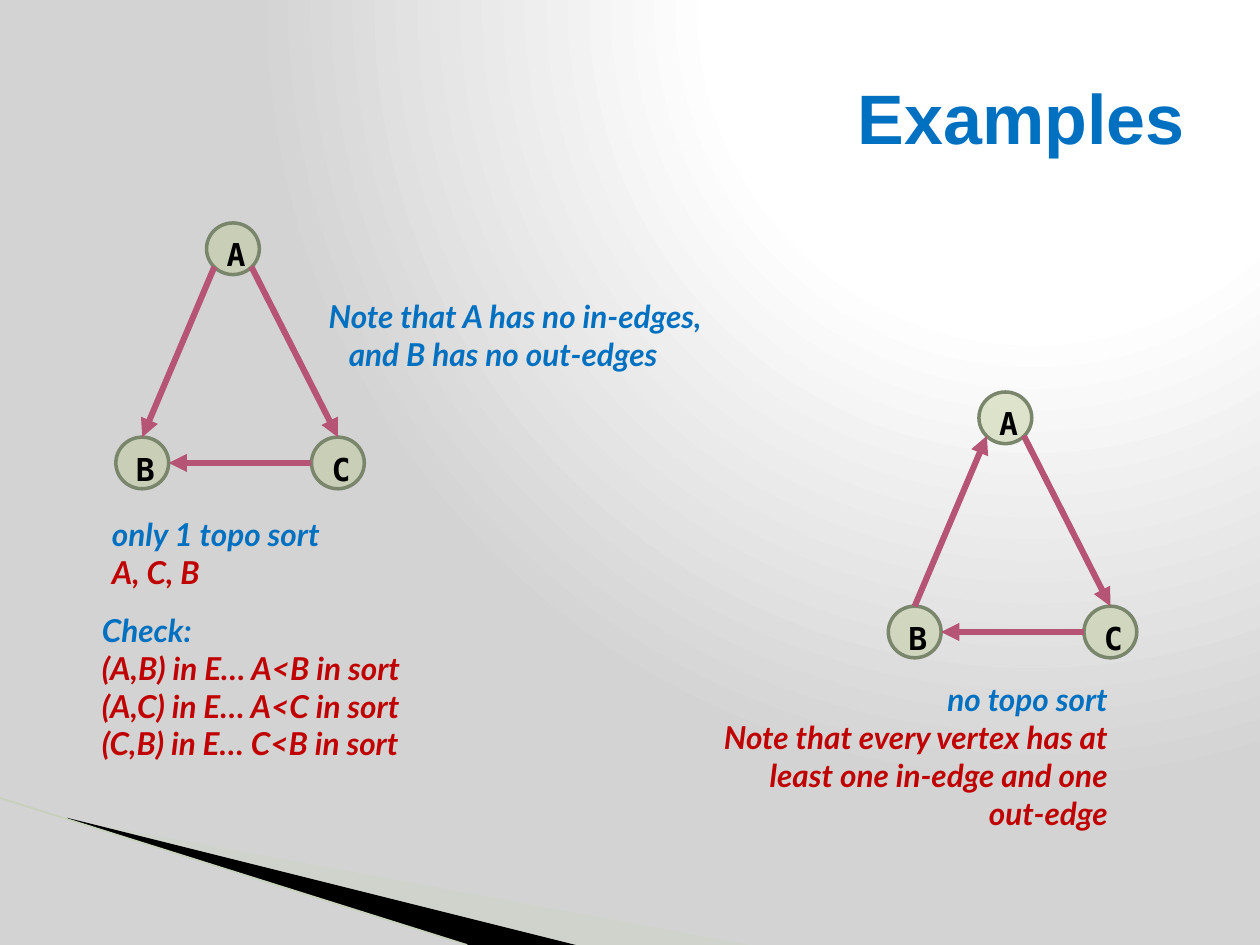
from dataclasses import dataclass

from lxml.etree import SubElement
from pptx import Presentation
from pptx.dml.color import RGBColor
from pptx.enum.shapes import MSO_CONNECTOR as Connector, MSO_SHAPE as Shape
from pptx.enum.text import MSO_ANCHOR as Anchor, MSO_AUTO_SIZE as AutoSize, PP_ALIGN as Align
from pptx.oxml.ns import qn
from pptx.util import Pt


@dataclass(frozen=True)
class Theme:
    blue: str = "0070C0"
    red: str = "C00000"
    black: str = "000000"
    edge: str = "B55475"
    node: str = "BECB95"
    node_line: str = "7A866C"
    wedge: str = "CBD4C0"
    thin_line: str = "C6D0BB"
    glow: str = "FFFFFF"
    shade: str = "D3D3D3"
    title_font: str = "Arial"
    label_font: str = "DejaVu Sans Mono"
    note_font: str = "Lato"
    title_size: int = 40
    text_size: int = 18


NODE_SIZE = (30.2, 29.5)
NODE_OFFSETS = {"A": (51.8, 0), "B": (0, 122.4), "C": (111.8, 122.4)}
# Places on a node's rim, as fractions of its box
PORTS = {"top": (0.5, 0), "left": (0, 0.5), "right": (1, 0.5),
         "lower left": (0.15, 0.85), "lower right": (0.85, 0.85)}


class SlideBuilder:
    def __init__(self, deck, theme):
        self.theme = theme
        self.slide = deck.slides.add_slide(deck.slide_layouts[5])
        self.shapes = self.slide.shapes

    def background(self):
        """Circular gradient that glows from the upper right."""
        self.slide.background.fill.gradient()
        gradient = self.slide.element.find(".//" + qn("a:gradFill"))
        for child in list(gradient):
            gradient.remove(child)
        stops = SubElement(gradient, qn("a:gsLst"))
        for percent, color in ((0, self.theme.glow), (40, self.theme.glow), (100, self.theme.shade)):
            stop = SubElement(stops, qn("a:gs"), pos=str(percent * 1000))
            SubElement(stop, qn("a:srgbClr"), val=color)
        circle = SubElement(gradient, qn("a:path"), path="circle")
        SubElement(circle, qn("a:fillToRect"), l="65000", t="0", r="0", b="98000")

    def fill(self, shape, color, opacity=100):
        shape.shadow.inherit = False
        shape.fill.solid()
        shape.fill.fore_color.rgb = RGBColor.from_string(color)
        if opacity < 100:
            tint = shape.element.spPr.find(qn("a:solidFill"))[0]
            SubElement(tint, qn("a:alpha"), val=str(opacity * 1000))

    def span(self, para, text, color, font, size, italic=False):
        span = para.add_run()
        span.text = text
        span.font.name = font
        span.font.size = Pt(size)
        span.font.bold = True
        span.font.italic = italic
        span.font.color.rgb = RGBColor.from_string(color)

    def title(self, text):
        box = self.shapes.title
        box.left, box.top, box.width, box.height = Pt(36), Pt(21.6), Pt(648), Pt(90)
        box.text_frame.vertical_anchor = Anchor.MIDDLE
        para = box.text_frame.paragraphs[0]
        para.alignment = Align.RIGHT
        self.span(para, text, self.theme.blue, self.theme.title_font, self.theme.title_size)

    def text_frame(self, left, top, width, height):
        box = self.shapes.add_textbox(Pt(left), Pt(top), Pt(width), Pt(height))
        frame = box.text_frame
        frame.word_wrap = True
        frame.auto_size = AutoSize.SHAPE_TO_FIT_TEXT
        return frame

    def note(self, place, lines, align=Align.LEFT):
        """Lines are (text, color, left margin) triples, one paragraph each."""
        frame = self.text_frame(*place)
        for index, (text, color, margin) in enumerate(lines):
            para = frame.add_paragraph() if index else frame.paragraphs[0]
            para.alignment = align
            if margin:
                para._p.get_or_add_pPr().set("marL", str(Pt(margin)))
            self.span(para, text, color, self.theme.note_font, self.theme.text_size, italic=True)

    def line(self, start, end, color, width, arrow=False):
        line = self.shapes.add_connector(Connector.STRAIGHT, *map(Pt, start + end))
        line.line.color.rgb = RGBColor.from_string(color)
        line.line.width = Pt(width)
        if arrow:
            SubElement(line.line._get_or_add_ln(), qn("a:tailEnd"), type="triangle")
        SubElement(line.element.spPr, qn("a:effectLst"))

    def wedge(self, points, color, opacity=100):
        corners = [(Pt(x), Pt(y)) for x, y in points]
        builder = self.shapes.build_freeform(*corners[0])
        builder.add_line_segments(corners[1:])
        wedge = builder.convert_to_shape()
        self.fill(wedge, color, opacity)
        wedge.line.fill.background()

    def node(self, left, top):
        node = self.shapes.add_shape(Shape.OVAL, Pt(left), Pt(top), *map(Pt, NODE_SIZE))
        self.fill(node, self.theme.node, 45)
        node.line.color.rgb = RGBColor.from_string(self.theme.node_line)
        node.line.width = Pt(2)

    def label(self, left, top, text):
        para = self.text_frame(left + 4.4, top + 3.6, 26.6, 23).paragraphs[0]
        para.space_after = Pt(6)
        self.span(para, text, self.theme.black, self.theme.label_font, self.theme.text_size)

    def graph(self, left, top, edges):
        """Edges are pairs of (node name, port) ends."""
        corners = {name: (left + x, top + y) for name, (x, y) in NODE_OFFSETS.items()}

        def rim(name, port):
            return tuple(corner + size * part for corner, size, part
                         in zip(corners[name], NODE_SIZE, PORTS[port]))

        for corner in corners.values():
            self.node(*corner)
        for start, end in edges:
            self.line(rim(*start), rim(*end), self.theme.edge, 3.5, arrow=True)
        for name, corner in corners.items():
            self.label(*corner, name)


def main():
    deck = Presentation()
    deck.slide_width, deck.slide_height = Pt(720), Pt(540)
    theme = Theme()
    page = SlideBuilder(deck, theme)
    page.background()
    page.wedge([(39.6, 468.5), (428.4, 540), (328.3, 540)], theme.wedge, 40)
    page.wedge([(38.2, 467.3), (329, 540), (267.5, 540), (38.9, 468)], theme.black)
    page.line((0, 456), (267, 540), theme.thin_line, 0.95)
    page.title("Examples")

    a_to_b = (("A", "lower left"), ("B", "top"))
    shared = [(("A", "lower right"), ("C", "top")), (("C", "left"), ("B", "right"))]
    page.graph(66.2, 127.4, [a_to_b] + shared)
    page.graph(507.6, 224, [a_to_b[::-1]] + shared)

    page.note((56.9, 290.9, 196.6, 51), [
        ("only 1 topo sort", theme.blue, 0),
        ("A, C, B", theme.red, 0),
    ])
    checks = [f"({start},{end}) in E… {start}<{end} in sort" for start, end in ("AB", "AC", "CB")]
    page.note((51.1, 345.6, 234.7, 94.3),
              [("Check:", theme.blue, 0)] + [(check, theme.red, 0) for check in checks])
    page.note((398.9, 385.2, 241.2, 94.3), [
        ("no topo sort", theme.blue, 0),
        ("Note that every vertex has at least one in-edge and one out-edge", theme.red, 0),
    ], Align.RIGHT)
    page.note((180.7, 166.3, 301.7, 51), [
        ("Note that A has no in-edges,", theme.blue, 0),
        ("and B has no out-edges", theme.blue, 11.5),
    ])
    deck.save("out.pptx")


if __name__ == "__main__":
    main()
